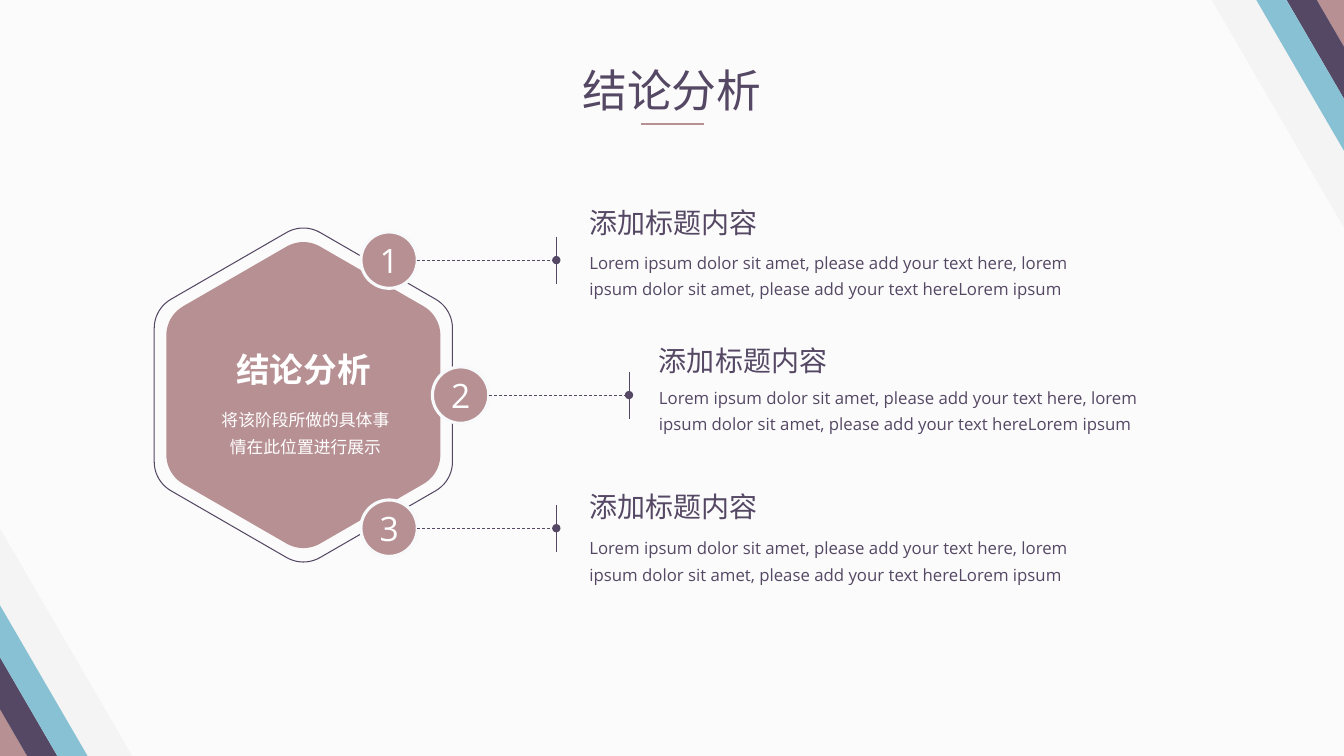
from math import cos, sin, radians, sqrt
from lxml.etree import SubElement
from pptx import Presentation
from pptx.dml.color import RGBColor
from pptx.enum.dml import MSO_LINE
from pptx.enum.shapes import MSO_CONNECTOR as Link, MSO_SHAPE as Shape
from pptx.enum.text import MSO_ANCHOR as Anchor, MSO_AUTO_SIZE as Fit, PP_ALIGN as Align
from pptx.oxml.ns import qn
from pptx.util import Pt

PAPER = RGBColor(0xFB, 0xFB, 0xFB)
PALE = RGBColor(0xF4, 0xF4, 0xF4)
ROSE = RGBColor(0xB7, 0x90, 0x93)
PLUM = RGBColor(0x55, 0x48, 0x64)
TEAL = RGBColor(0x88, 0xC1, 0xD4)
RING = RGBColor(0xF8, 0xF9, 0xFB)
WHITE = RGBColor(0xFF, 0xFF, 0xFF)
HAN, SANS = "Noto Sans CJK SC", "Open Sans"

TITLE = "结论分析"
BRIEF = "将该阶段所做的具体事情在此位置进行展示"
HEAD = "添加标题内容"
BODY = ("Lorem ipsum dolor sit amet, please add your text here, lorem "
        "ipsum dolor sit amet, please add your text hereLorem ipsum")
# number, circle left, bar x, circle middle, head top, body top
ROWS = [
    ("1", 257.8, 397.4, 185.8, 143.3, 172.8),
    ("2", 308.9, 449.3, 282.2, 241.9, 269.3),
    ("3", 257.8, 397.4, 377.3, 346.3, 376.6),
]
# colour, inner and outer reach from the slide corner
BANDS = [(PALE, 0, 94.5), (ROSE, 0, 19.4), (PLUM, 19.4, 41), (TEAL, 41, 62.6)]
WIDE, HIGH = 960, 540
SLOPE = 1.72
HEX_X, HEX_Y, ROUND = 216.7, 282.2, 24
DISC, HALF, GAP = 40.3, 16.8, 16.5

deck = Presentation()
deck.slide_width, deck.slide_height = Pt(WIDE), Pt(HIGH)
slide = deck.slides.add_slide(deck.slide_layouts[6])
shapes = slide.shapes
back = slide.background.fill
back.solid()
back.fore_color.rgb = PAPER


def paint(shape, fill=None, line=None, width=0):
    shape.shadow.inherit = False
    if fill is None:
        shape.fill.background()
    else:
        shape.fill.solid()
        shape.fill.fore_color.rgb = fill
    if line is None:
        shape.line.fill.background()
    else:
        shape.line.color.rgb = line
        shape.line.width = Pt(width)


def draw(points, **look):
    """Closed outline through points."""
    spots = [(Pt(x), Pt(y)) for x, y in points]
    pen = shapes.build_freeform(*spots[0])
    pen.add_line_segments(spots[1:], close=True)
    paint(pen.convert_to_shape(), **look)


def hexagon(reach, **look):
    """Upright hexagon with rounded corners; reach is centre to sharp corner."""
    hub = reach - ROUND / sin(radians(60))
    points = []
    for turn in range(30, 390, 60):
        x = HEX_X + hub * cos(radians(turn))
        y = HEX_Y + hub * sin(radians(turn))
        for step in range(-30, 31, 6):
            angle = radians(turn + step)
            points.append((x + ROUND * cos(angle), y + ROUND * sin(angle)))
    draw(points, **look)


def rule(x1, y1, x2, y2, color, width, dot=False):
    """Straight line; with dot it is dashed and ends in a dot."""
    link = shapes.add_connector(Link.STRAIGHT, Pt(x1), Pt(y1), Pt(x2), Pt(y2))
    link.line.color.rgb = color
    link.line.width = Pt(width)
    props = link._element.spPr
    if dot:
        link.line.dash_style = MSO_LINE.DASH
        SubElement(props.find(qn("a:ln")), qn("a:tailEnd"), type="oval")
    SubElement(props, qn("a:effectLst"))


def write(frame, text, size, font, color, align=Align.LEFT, bold=False, lead=None):
    para = frame.paragraphs[0]
    para.alignment = align
    if lead:
        para.line_spacing = lead
    run = para.add_run()
    run.text = text
    run.font.size = Pt(size)
    run.font.bold = bold
    run.font.name = font
    run.font.color.rgb = color
    SubElement(run._r.get_or_add_rPr(), qn("a:ea"), typeface=font)


def label(x, y, w, h, *words, wrap=True, inset=True, **style):
    frame = shapes.add_textbox(Pt(x), Pt(y), Pt(w), Pt(h)).text_frame
    frame.word_wrap = wrap
    frame.auto_size = Fit.SHAPE_TO_FIT_TEXT
    if not inset:
        frame.margin_left = frame.margin_right = Pt(0)
        frame.margin_top = frame.margin_bottom = Pt(0)
    write(frame, *words, **style)


for color, near, far in BANDS:
    band = [(WIDE, far * SLOPE), (WIDE - far, 0), (WIDE - near, 0), (WIDE, near * SLOPE)]
    draw(band, fill=color)
    draw([(WIDE - x, HIGH - y) for x, y in band], fill=color)

label(408, 41, 144, 46, TITLE, 32, HAN, PLUM, wrap=False, align=Align.CENTER)
rule(457.9, 88.6, 502.6, 88.6, ROSE, 1.5)

hexagon(113, fill=ROSE)
label(131.8, 249.1, 170, 29, TITLE, 24, HAN, WHITE,
      inset=False, align=Align.CENTER, bold=True)
label(146.9, 285.1, 142.6, 45.4, BRIEF, 12, HAN, WHITE, align=Align.CENTER, lead=1.3)
hexagon(123, line=PLUM, width=0.75)

for number, left, bar, mid, head, body in ROWS:
    disc = shapes.add_shape(Shape.OVAL, Pt(left), Pt(mid - DISC / 2), Pt(DISC), Pt(DISC))
    paint(disc, fill=ROSE, line=RING, width=2.25)
    disc.text_frame.vertical_anchor = Anchor.MIDDLE
    write(disc.text_frame, number, 24, SANS, WHITE, align=Align.CENTER)
    rule(left + DISC, mid, bar, mid, PLUM, 0.5, dot=True)
    rule(bar, mid - HALF, bar, mid + HALF, PLUM, 0.5)
    text = bar + GAP - (2.2 if number == "2" else 0)
    label(text, head, 135.4, 31.7, HEAD, 20, HAN, PLUM, wrap=False)
    label(text, body, 382.3, 45.4, BODY, 12, SANS, PLUM, lead=1.3)

deck.save("out.pptx")
